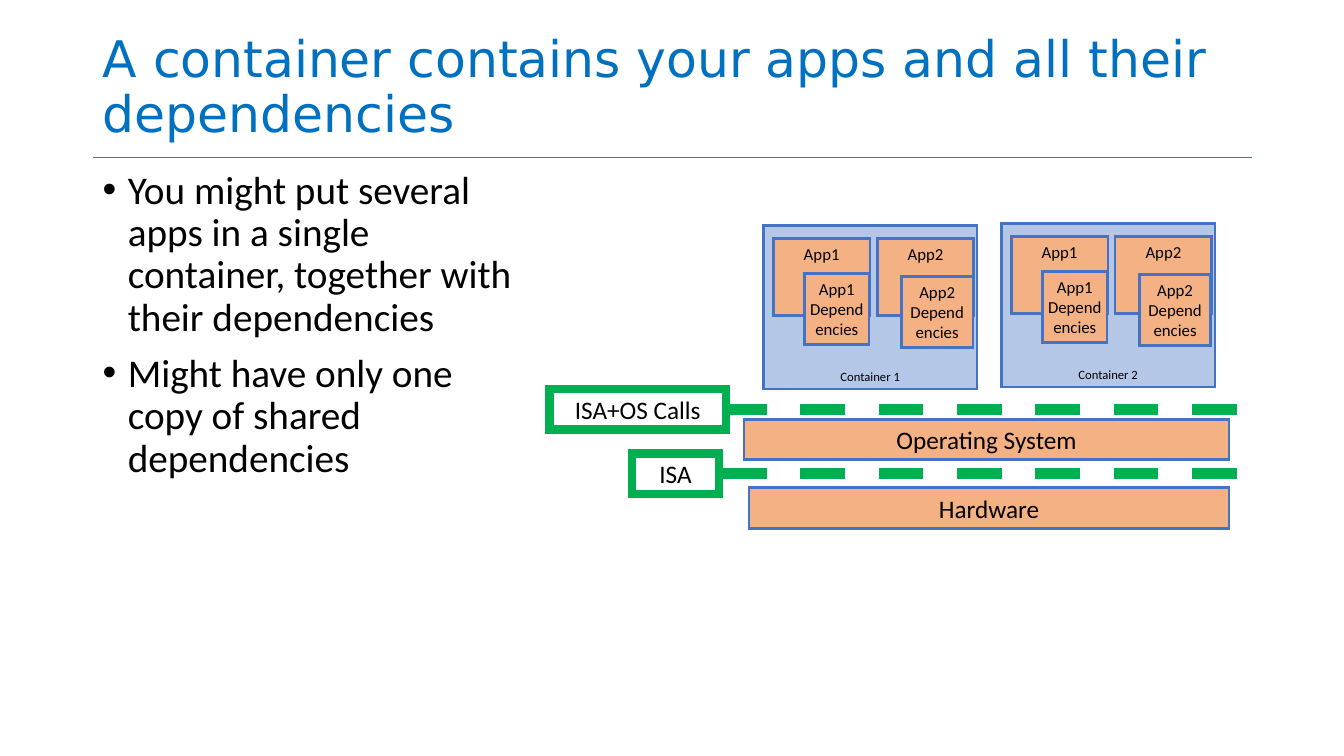
"""Slide on containers that bundle apps with their dependencies."""
from lxml import etree
from pptx import Presentation
from pptx.dml.color import RGBColor
from pptx.enum.dml import MSO_LINE
from pptx.enum.shapes import MSO_CONNECTOR, MSO_SHAPE
from pptx.enum.text import MSO_ANCHOR, PP_ALIGN
from pptx.oxml.ns import qn
from pptx.util import Pt

PX = 9144
TITLE_BLUE = RGBColor(0x00, 0x70, 0xC0)
LINE_BLUE = RGBColor(0x44, 0x72, 0xC4)
PALE_BLUE = RGBColor(0xB4, 0xC7, 0xE7)
ORANGE = RGBColor(0xF4, 0xB1, 0x83)
GREEN = RGBColor(0x00, 0xB0, 0x50)
BLACK = RGBColor(0, 0, 0)
TOP, MIDDLE, BOTTOM = MSO_ANCHOR.TOP, MSO_ANCHOR.MIDDLE, MSO_ANCHOR.BOTTOM
CENTER = PP_ALIGN.CENTER
RECT = MSO_SHAPE.RECTANGLE
STRAIGHT = MSO_CONNECTOR.STRAIGHT
DASH = MSO_LINE.DASH

prs = Presentation()
prs.slide_width, prs.slide_height = 1333 * PX, 750 * PX
s = prs.slides.add_slide(prs.slide_layouts[6])


def add_box(text, x, y, w, h, size, anchor=MIDDLE, fill=ORANGE, line=LINE_BLUE, width=2):
    sp = s.shapes.add_shape(RECT, x * PX, y * PX, w * PX, h * PX)
    sp.shadow.inherit = False
    if fill is None:
        sp.fill.background()
    else:
        sp.fill.solid()
        sp.fill.fore_color.rgb = fill
    sp.line.color.rgb = line
    sp.line.width = Pt(width)
    etree.SubElement(sp.line._get_or_add_ln(), qn("a:miter"), lim="800000")
    tf = sp.text_frame
    tf.word_wrap = True
    tf.vertical_anchor = anchor
    tf.margin_left = tf.margin_right = tf.margin_top = tf.margin_bottom = 5 * PX
    p = tf.paragraphs[0]
    p.alignment = CENTER
    r = p.add_run()
    r.text = text
    r.font.name, r.font.size = "Calibri", Pt(size)
    r.font.color.rgb = BLACK


def add_line(x1, x2, y, color, width):
    cn = s.shapes.add_connector(STRAIGHT, x1 * PX, y * PX, x2 * PX, y * PX)
    cn.line.color.rgb = color
    cn.line.width = Pt(width)
    etree.SubElement(cn._element.spPr, qn("a:effectLst"))
    return cn


add_line(92, 1242, 156, LINE_BLUE, 0.5)

title = s.shapes.add_textbox(92 * PX, 2 * PX, 1150 * PX, 145 * PX)
tf = title.text_frame
tf.word_wrap = True
tf.vertical_anchor = BOTTOM
p = tf.paragraphs[0]
p.line_spacing = 0.9
r = p.add_run()
r.text = "A container contains your apps and all their dependencies"
r.font.name, r.font.size = "DejaVu Sans", Pt(36)
r.font.color.rgb = TITLE_BLUE

body = s.shapes.add_textbox(92 * PX, 164 * PX, 430 * PX, 476 * PX)
tf = body.text_frame
tf.word_wrap = True
bullets = [
    "You might put several apps in a single container, together with their dependencies",
    "Might have only one copy of shared dependencies",
]
for i, text in enumerate(bullets):
    p = tf.add_paragraph() if i else tf.paragraphs[0]
    p.line_spacing = 0.9
    if i:
        p.space_before = Pt(10)
    pPr = p._p.get_or_add_pPr()
    pPr.set("marL", str(25 * PX))
    pPr.set("indent", str(-25 * PX))
    etree.SubElement(pPr, qn("a:buFont"), typeface="Arial")
    etree.SubElement(pPr, qn("a:buChar"), char="•")
    r = p.add_run()
    r.text = text
    r.font.name, r.font.size = "Calibri", Pt(28)
    r.font.color.rgb = BLACK

layers = [
    ("Hardware", 743, 484, 476, "ISA", 627, 450, 86, 470, 1250),
    ("Operating System", 738, 416, 481, "ISA+OS Calls", 545, 386, 175, 406, 1239),
]
for layer, x, y, w, api, api_x, api_y, api_w, line_y, line_end in layers:
    add_box(layer, x, y, w, 40, 18)
    add_line(716, line_end, line_y, GREEN, 8).line.dash_style = DASH
    add_box(api, api_x, api_y, api_w, 40, 18, fill=None, line=GREEN, width=6)

for name, x, y in [("Container 2", 993, 222), ("Container 1", 757, 224)]:
    add_box(name, x, y, 212, 162, 9, anchor=BOTTOM, fill=PALE_BLUE)
    for app, app_dx, dep_dx, dep_dy, dep_w in [("App1", 10, 41, 47, 64), ("App2", 113, 137, 50, 71)]:
        add_box(app, x + app_dx, y + 13, 96, 76, 12, anchor=TOP)
        add_box(f"{app} Dependencies", x + dep_dx, y + dep_dy, dep_w, 71, 12)

prs.save("out.pptx")
